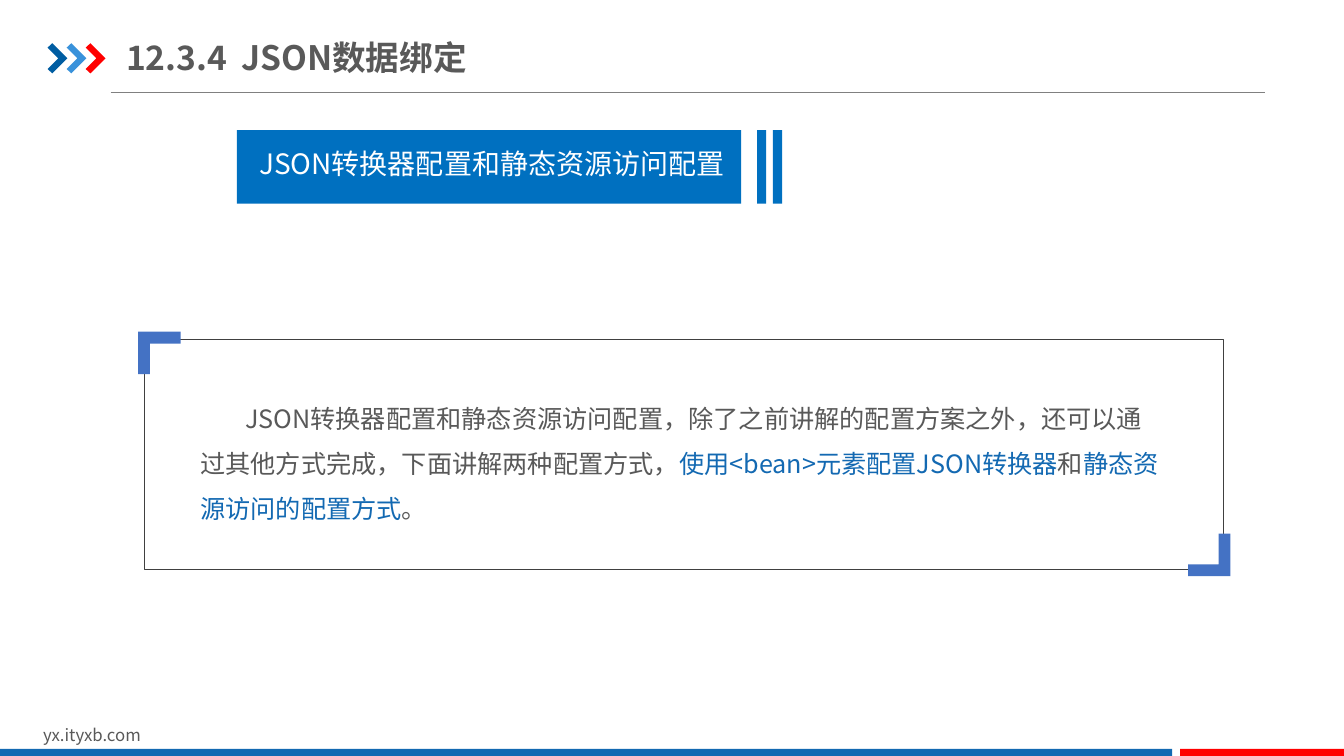
"""Build the slide on JSON converter and static resource configuration."""
from lxml import etree
from pptx import Presentation
from pptx.dml.color import RGBColor
from pptx.enum import shapes, text
from pptx.oxml.ns import qn
from pptx.util import Cm, Pt

FONT = "Noto Sans CJK SC"
GRAY = RGBColor(0x59, 0x59, 0x59)
RULE_GRAY = RGBColor(0x80, 0x80, 0x80)
FRAME_GRAY = RGBColor(0x40, 0x40, 0x40)
WHITE = RGBColor(0xFF, 0xFF, 0xFF)
BLUE = RGBColor(0x13, 0x69, 0xB2)
BANNER_BLUE = RGBColor(0x00, 0x70, 0xC0)
CORNER_BLUE = RGBColor(0x44, 0x72, 0xC4)
DARK_BLUE = RGBColor(0x00, 0x5D, 0xA2)
LIGHT_BLUE = RGBColor(0x39, 0x92, 0xDB)
RED = RGBColor(0xFF, 0x00, 0x00)

deck = Presentation()
deck.slide_width, deck.slide_height = Cm(33.87), Cm(19.05)
slide = deck.slides.add_slide(deck.slide_layouts[6])


def add_text(left, top, width, height, size, pieces, bold=False):
    """Add a wrapping text box holding one paragraph of coloured pieces."""
    frame = slide.shapes.add_textbox(Cm(left), Cm(top), Cm(width), Cm(height)).text_frame
    frame.word_wrap = True
    for wording, color in pieces:
        run = frame.paragraphs[0].add_run()
        run.text = wording
        run.font.size, run.font.bold, run.font.name = Pt(size), bold, FONT
        run.font.color.rgb = color
        etree.SubElement(run.font._element, qn("a:ea"), typeface=FONT)
    return frame


def add_outline(points, color):
    """Add a filled closed outline through points given in centimetres."""
    corners = [(Cm(x), Cm(y)) for x, y in points]
    builder = slide.shapes.build_freeform(*corners[0])
    builder.add_line_segments(corners[1:], close=True)
    outline = builder.convert_to_shape()
    outline.shadow.inherit = False
    outline.fill.solid()
    outline.fill.fore_color.rgb = color
    outline.line.fill.background()


title_rule = slide.shapes.add_connector(
    shapes.MSO_CONNECTOR.STRAIGHT, Cm(2.79), Cm(2.33), Cm(31.88), Cm(2.33))
title_rule.line.color.rgb = RULE_GRAY
title_rule.line.width = Pt(0.5)
etree.SubElement(title_rule._element.spPr, qn("a:effectLst"))

chevron = [(0, 0.11), (0.12, 0), (0.5, 0.38), (0.12, 0.76), (0, 0.65), (0.27, 0.38)]
for index, color in enumerate((DARK_BLUE, LIGHT_BLUE, RED)):
    add_outline([(1.2 + 0.48 * index + x, 1.09 + y) for x, y in chevron], color)

add_text(0.84, 18.14, 8.08, 0.76, 12, [("yx.ityxb.com", GRAY)])

title = add_text(3.18, 0.74, 9.17, 1.4, 24, [("12.3.4\tJSON数据绑定", GRAY)], bold=True)
title.margin_left = title.margin_right = 0
title.vertical_anchor = text.MSO_ANCHOR.MIDDLE
title_tabs = etree.SubElement(title.paragraphs[0]._p.get_or_add_pPr(), qn("a:tabLst"))
etree.SubElement(title_tabs, qn("a:tab"), pos=str(Cm(2.9)), algn="l")

explanation = add_text(4.8, 9.65, 24.66, 3.86, 18, [
    ("JSON转换器配置和静态资源访问配置，除了之前讲解的配置方案之外，"
     "还可以通过其他方式完成，下面讲解两种配置方式，", GRAY),
    ("使用<bean>元素配置JSON转换器", BLUE),
    ("和", GRAY),
    ("静态资源访问的配置方式", BLUE),
    ("。", GRAY),
])
explanation.paragraphs[0].line_spacing = 1.5
explanation.paragraphs[0]._p.get_or_add_pPr().set("indent", str(Cm(1.13)))

frame = slide.shapes.add_shape(
    shapes.MSO_SHAPE.RECTANGLE, Cm(3.63), Cm(8.56), Cm(27.2), Cm(5.79))
frame.shadow.inherit = False
frame.fill.background()
frame.line.color.rgb = FRAME_GRAY
frame.line.width = Pt(0.25)

bracket = [(0, 0), (1.07, 0), (1.07, 0.3), (0.3, 0.3), (0.3, 1.07), (0, 1.07)]
for corner_x, corner_y, direction in ((3.48, 8.36, 1), (31.01, 14.52, -1)):
    add_outline([(corner_x + direction * x, corner_y + direction * y)
                 for x, y in bracket], CORNER_BLUE)

bars = [
    (0, 18.87, 29.54, 0.22, BLUE),
    (29.74, 18.87, 4.13, 0.22, RED),
    (5.97, 3.28, 12.71, 1.85, BANNER_BLUE),
    (19.08, 3.28, 0.23, 1.85, BANNER_BLUE),
    (19.48, 3.28, 0.23, 1.85, BANNER_BLUE),
]
for left, top, width, height, color in bars:
    bar = slide.shapes.add_shape(
        shapes.MSO_SHAPE.RECTANGLE, Cm(left), Cm(top), Cm(width), Cm(height))
    bar.shadow.inherit = False
    bar.fill.solid()
    bar.fill.fore_color.rgb = color
    bar.line.fill.background()

banner = add_text(6.28, 3.56, 12.4, 1.12, 20, [("JSON转换器配置和静态资源访问配置", WHITE)])
banner.margin_right = 0
banner.paragraphs[0].alignment = text.PP_ALIGN.JUSTIFY

deck.save("out.pptx")
